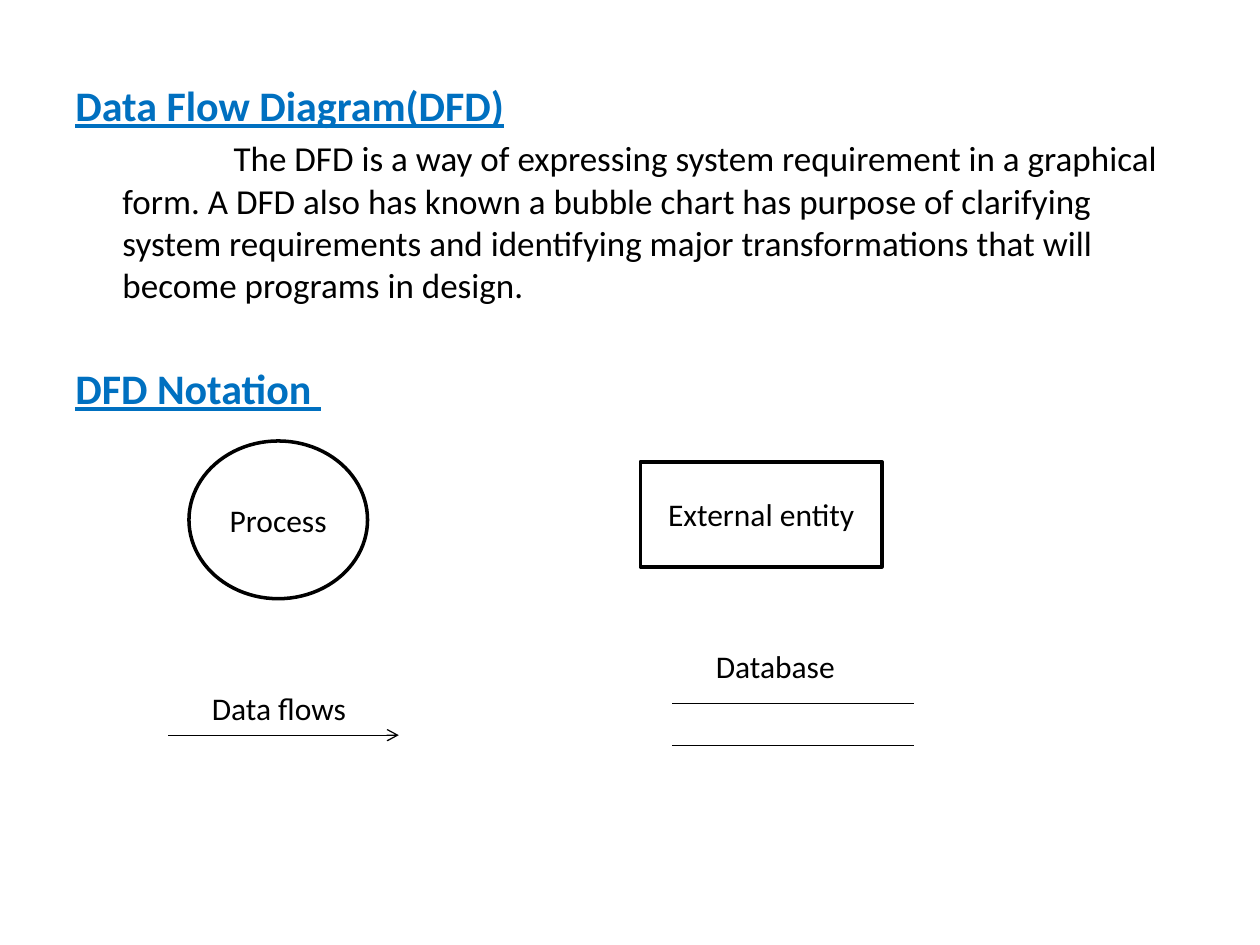
from typing import NamedTuple

from lxml.etree import SubElement
from pptx import Presentation
from pptx.dml.color import RGBColor
from pptx.enum.shapes import MSO_CONNECTOR, MSO_SHAPE
from pptx.enum.text import MSO_ANCHOR, MSO_AUTO_SIZE, PP_ALIGN
from pptx.oxml.ns import qn
from pptx.util import Cm, Pt

FONT = "Calibri"
BLACK, WHITE, BLUE = "000000", "FFFFFF", "0070C0"


class Para(NamedTuple):
    """A body paragraph; indent in cm, space before in points."""
    text: str
    heading: bool
    indent: float
    before: float


class Symbol(NamedTuple):
    """A closed notation symbol, placed in cm."""
    text: str
    kind: MSO_SHAPE
    left: float
    top: float
    width: float
    height: float


class Label(NamedTuple):
    """A caption, placed in cm."""
    text: str
    left: float
    top: float
    width: float


class Line(NamedTuple):
    """A horizontal line, placed in cm."""
    left: float
    right: float
    y: float
    arrow: bool = False


HANG = 0.95
PARAS = [
    Para("Data Flow Diagram(DFD)", True, -HANG, 0),
    Para("The DFD is a way of expressing system requirement in a graphical form. "
         "A DFD also has known a bubble chart has purpose of clarifying system "
         "requirements and identifying major transformations that will become "
         "programs in design.", False, 2.24, 4),
    Para("DFD Notation ", True, -HANG, 33),
]
SYMBOLS = [
    Symbol("Process", MSO_SHAPE.OVAL, 3.81, 8.89, 3.6, 3.18),
    Symbol("External entity", MSO_SHAPE.RECTANGLE, 12.91, 9.31, 4.87, 2.12),
]
LINES = [
    Line(3.39, 8.04, 14.82, arrow=True),
    Line(13.55, 18.42, 14.18),
    Line(13.55, 18.42, 15.03),
]
LABELS = [
    Label("Data flows", 4.02, 13.76, 3.25),
    Label("Database", 14.18, 12.91, 2.95),
]


def rgb(color: str) -> RGBColor:
    """Turn a hex string into a colour."""
    return RGBColor.from_string(color)


def add_run(p, text: str, size: float, color: str = BLACK, heading: bool = False) -> None:
    """Add one formatted run to a paragraph."""
    r = p.add_run()
    r.text = text
    r.font.name = FONT
    r.font.size = Pt(size)
    r.font.color.rgb = rgb(color)
    r.font.bold = r.font.underline = heading


def add_body(s, paras: list[Para]) -> None:
    """Add the headings and the definition."""
    tf = s.shapes.add_textbox(Cm(1.27), Cm(1.48), Cm(22.86), Cm(15.54)).text_frame
    tf.word_wrap = True
    for i, para in enumerate(paras):
        p = tf.add_paragraph() if i else tf.paragraphs[0]
        p.space_before = Pt(para.before)
        pPr = p._p.get_or_add_pPr()
        pPr.set("marL", str(Cm(HANG)))
        pPr.set("indent", str(Cm(para.indent)))
        add_run(p, para.text, 24 if para.heading else 20,
                BLUE if para.heading else BLACK, para.heading)


def add_symbol(s, symbol: Symbol) -> None:
    """Add an outlined shape with a centred name."""
    sp = s.shapes.add_shape(symbol.kind, Cm(symbol.left), Cm(symbol.top),
                            Cm(symbol.width), Cm(symbol.height))
    sp.shadow.inherit = False
    sp.fill.solid()
    sp.fill.fore_color.rgb = rgb(WHITE)
    sp.line.color.rgb = rgb(BLACK)
    sp.line.width = Pt(2)
    tf = sp.text_frame
    tf.vertical_anchor = MSO_ANCHOR.MIDDLE
    p = tf.paragraphs[0]
    p.alignment = PP_ALIGN.CENTER
    add_run(p, symbol.text, 18)


def add_line(s, line: Line) -> None:
    """Add a thin line, with an arrowhead on request."""
    cxn = s.shapes.add_connector(MSO_CONNECTOR.STRAIGHT, Cm(line.left), Cm(line.y),
                                 Cm(line.right), Cm(line.y))
    cxn.line.color.rgb = rgb(BLACK)
    cxn.line.width = Pt(0.75)
    if line.arrow:
        SubElement(cxn.line._get_or_add_ln(), qn("a:tailEnd"), type="arrow")
    SubElement(cxn._element.spPr, qn("a:effectLst"))


def add_label(s, label: Label) -> None:
    """Add a caption that does not wrap."""
    tf = s.shapes.add_textbox(Cm(label.left), Cm(label.top),
                              Cm(label.width), Cm(1.03)).text_frame
    tf.word_wrap = False
    tf.auto_size = MSO_AUTO_SIZE.SHAPE_TO_FIT_TEXT
    add_run(tf.paragraphs[0], label.text, 18)


def main() -> None:
    """Build and save the slide."""
    prs = Presentation()
    prs.slide_width, prs.slide_height = Cm(25.4), Cm(19.05)
    s = prs.slides.add_slide(prs.slide_layouts[6])
    add_body(s, PARAS)
    for symbol in SYMBOLS:
        add_symbol(s, symbol)
    for line in LINES:
        add_line(s, line)
    for label in LABELS:
        add_label(s, label)
    prs.save("out.pptx")


main()
